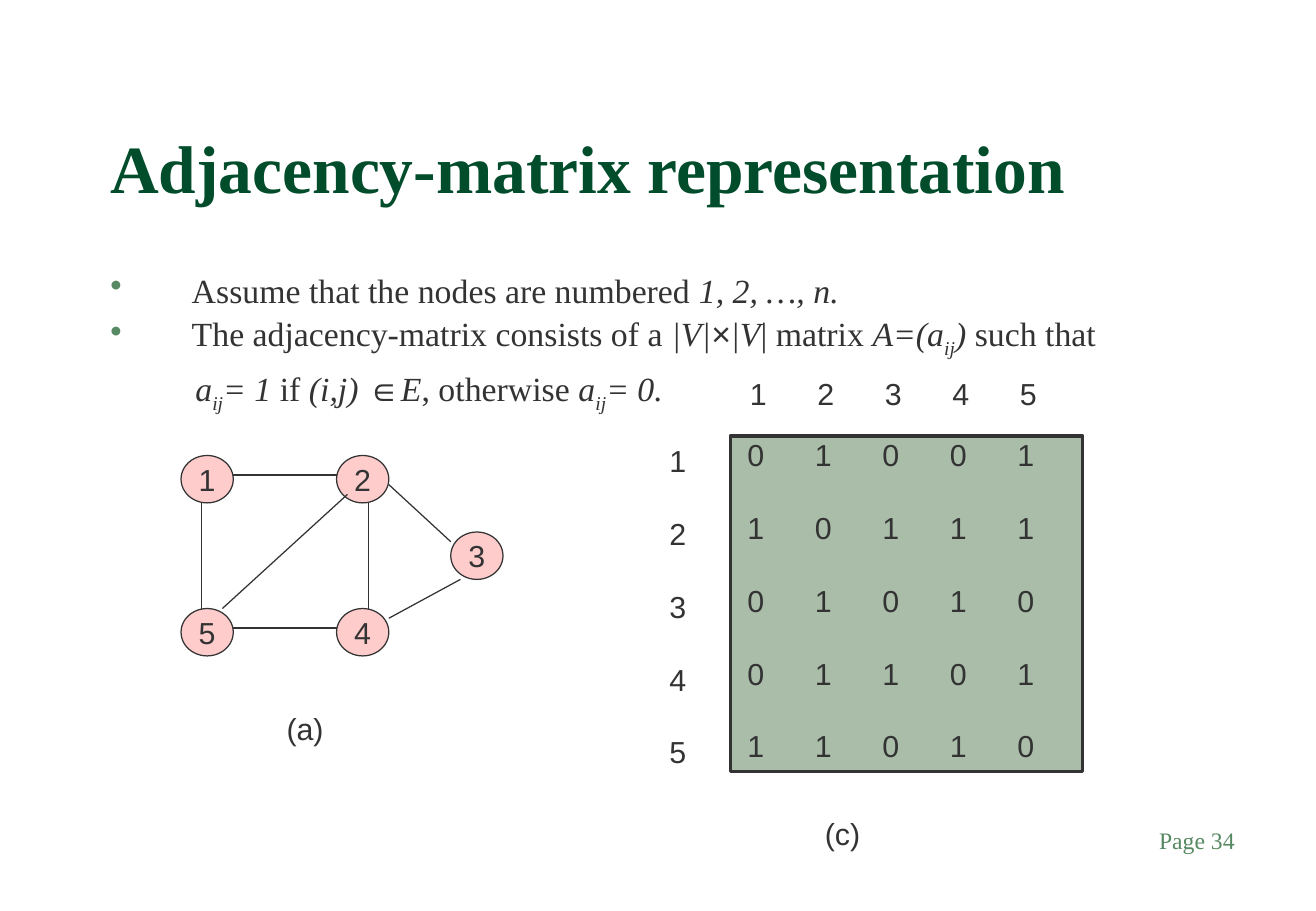
import pptx
import pptx.dml.color
import pptx.enum.shapes
import pptx.enum.text
import pptx.oxml.ns
import pptx.util
from lxml import etree

SCALE = 9144  # EMU per px, 100 px to the inch
ALIGN = pptx.enum.text.PP_ALIGN
ANCHOR = pptx.enum.text.MSO_ANCHOR
SHAPE = pptx.enum.shapes.MSO_SHAPE
INK, GREEN, DARK_GREEN = "333333", "578963", "004C2B"
PINK, SAGE = "FFCCCC", "A9BDA9"
COLUMN_PITCH = pptx.util.Pt(40)


def px(length):
    return pptx.util.Emu(length * SCALE)


def color(value):
    return pptx.dml.color.RGBColor.from_string(value)


def add_xml(parent, tag, **attributes):
    return etree.SubElement(parent, pptx.oxml.ns.qn(tag), attributes)


class Board:
    serif, sans = "Times New Roman", "Arial"

    def __init__(self, slide):
        self.slide = slide

    def font(self, run, size, ink=INK, name=sans, bold=False, italic=False):
        run.font.size = pptx.util.Pt(size)
        run.font.name = name
        run.font.bold = bold
        run.font.italic = italic
        run.font.color.rgb = color(ink)

    def spacing(self, paragraph, size, before=0, after=0):
        paragraph.line_spacing = pptx.util.Pt(size * 1.2)
        paragraph.space_before = pptx.util.Pt(before)
        paragraph.space_after = pptx.util.Pt(after)

    def fill_text(self, frame, text, size=18, align=ALIGN.LEFT, after=0, columns=0, **style):
        frame.text = text
        frame.word_wrap = True
        for paragraph in frame.paragraphs:
            paragraph.alignment = align
            self.spacing(paragraph, size, after=after)
            for run in paragraph.runs:
                self.font(run, size, **style)
            if columns:
                stops = add_xml(paragraph._p.get_or_add_pPr(), "a:tabLst")
                for column in range(1, columns):
                    add_xml(stops, "a:tab", pos=str(column * COLUMN_PITCH), algn="l")

    def label(self, text, left, top, width, height, anchor=ANCHOR.TOP, inset=10, **style):
        box = self.slide.shapes.add_textbox(px(left), px(top), px(width), px(height))
        box.text_frame.margin_left = px(inset)
        box.text_frame.vertical_anchor = anchor
        self.fill_text(box.text_frame, text, **style)

    def shape(self, kind, text, left, top, width, height, fill, line, anchor, insets, **style):
        shape = self.slide.shapes.add_shape(kind, px(left), px(top), px(width), px(height))
        shape.shadow.inherit = False
        shape.fill.solid()
        shape.fill.fore_color.rgb = color(fill)
        shape.line.color.rgb = color(INK)
        shape.line.width = pptx.util.Pt(line)
        frame = shape.text_frame
        frame.vertical_anchor = anchor
        frame.margin_left, frame.margin_right = map(px, insets)
        frame.margin_top = frame.margin_bottom = 0
        self.fill_text(frame, text, **style)

    def line(self, x1, y1, x2, y2):
        connector = self.slide.shapes.add_connector(
            pptx.enum.shapes.MSO_CONNECTOR.STRAIGHT, px(x1), px(y1), px(x2), px(y2))
        connector.line.color.rgb = color(INK)
        connector.line.width = pptx.util.Pt(0.75)
        add_xml(connector._element.spPr, "a:effectLst")

    def statements(self, items, left, top, width, height, size=20):
        """Each item: bullet or not, left margin, space before, (text, marks) runs.
        Marks: i italic, s subscript, a sans."""
        box = self.slide.shapes.add_textbox(px(left), px(top), px(width), px(height))
        frame = box.text_frame
        frame.word_wrap = True
        for number, (bullet, margin, before, runs) in enumerate(items):
            paragraph = frame.add_paragraph() if number else frame.paragraphs[0]
            self.spacing(paragraph, size, before)
            for text, marks in runs:
                run = paragraph.add_run()
                run.text = text
                self.font(run, size, name=self.sans if "a" in marks else self.serif,
                          italic="i" in marks)
                if "s" in marks:
                    run.font._element.set("baseline", "-25000")
            properties = paragraph._p.get_or_add_pPr()
            properties.set("marL", str(px(margin)))
            if bullet:
                properties.set("indent", str(px(-margin)))
                add_xml(add_xml(properties, "a:buClr"), "a:srgbClr", val=GREEN)
                add_xml(properties, "a:buChar", char="•")


def main():
    deck = pptx.Presentation()
    deck.slide_width, deck.slide_height = px(1083), px(750)
    board = Board(deck.slides.add_slide(deck.slide_layouts[6]))

    # Page number, title and statements
    board.label("Page 34", 800, 675, 226, 50, size=14, align=ALIGN.RIGHT,
                ink=GREEN, name=board.serif)
    board.label("Adjacency-matrix representation", 81, 50, 920, 125, anchor=ANCHOR.BOTTOM,
                size=40, ink=DARK_GREEN, name=board.serif, bold=True)
    board.statements([
        (True, 67, 0, [("Assume that the nodes are numbered ", ""), ("1, 2, …, n.", "i")]),
        (True, 67, 5, [("The adjacency-matrix consists of a ", ""), ("|V|", "i"), ("×", "ia"),
                       ("|V", "i"), ("| matrix ", ""), ("A=(a", "i"), ("ij", "is"),
                       (") ", "i"), ("such that", "")]),
        (False, 70, 8.6, [("a", "i"), ("ij", "is"), ("= 1", "i"), (" if ", ""), ("(i,j) ", "i"),
                          ("∈", "ia"), ("E", "i"), (", otherwise ", ""), ("a", "i"),
                          ("ij", "is"), ("= 0.", "i")]),
    ], 81, 217, 920, 450)

    # Graph (a): nodes, then edges with their end points
    nodes = {1: (149, 375), 2: (277, 375), 3: (371, 438), 4: (277, 501), 5: (149, 501)}
    edges = {
        (1, 2): (192, 391, 277, 391),
        (1, 5): (166, 414, 166, 501),
        (4, 5): (192, 517, 277, 517),
        (2, 4): (303, 414, 303, 501),
        (2, 5): (183, 501, 286, 407),
        (2, 3): (320, 399, 371, 446),
        (3, 4): (320, 509, 379, 477),
    }
    for node, (left, top) in nodes.items():
        board.shape(SHAPE.OVAL, str(node), left, top, 43, 39, PINK, 0.75,
                    ANCHOR.MIDDLE, (0, 0), align=ALIGN.CENTER)
    for ends in edges.values():
        board.line(*ends)
    board.label("(a)", 226, 580, 60, 40)

    # Matrix (c): an entry is 1 where an edge joins its row and column
    matrix = "\n".join(
        "\t".join("1" if (min(i, j), max(i, j)) in edges else "0" for j in nodes)
        for i in nodes)
    size = len(nodes)
    row_gap = 21.6
    board.shape(SHAPE.RECTANGLE, matrix, 601, 359, 290, 276, SAGE, 2,
                ANCHOR.TOP, (14, 0), after=row_gap, columns=size)
    board.label("\t".join(map(str, nodes)), 593, 304, 301, 70, inset=24, columns=size)
    board.label("\n".join(map(str, nodes)), 541, 359, 43, 280, after=row_gap)
    board.label("(c)", 669, 666, 60, 40)

    deck.save("out.pptx")


if __name__ == "__main__":
    main()
